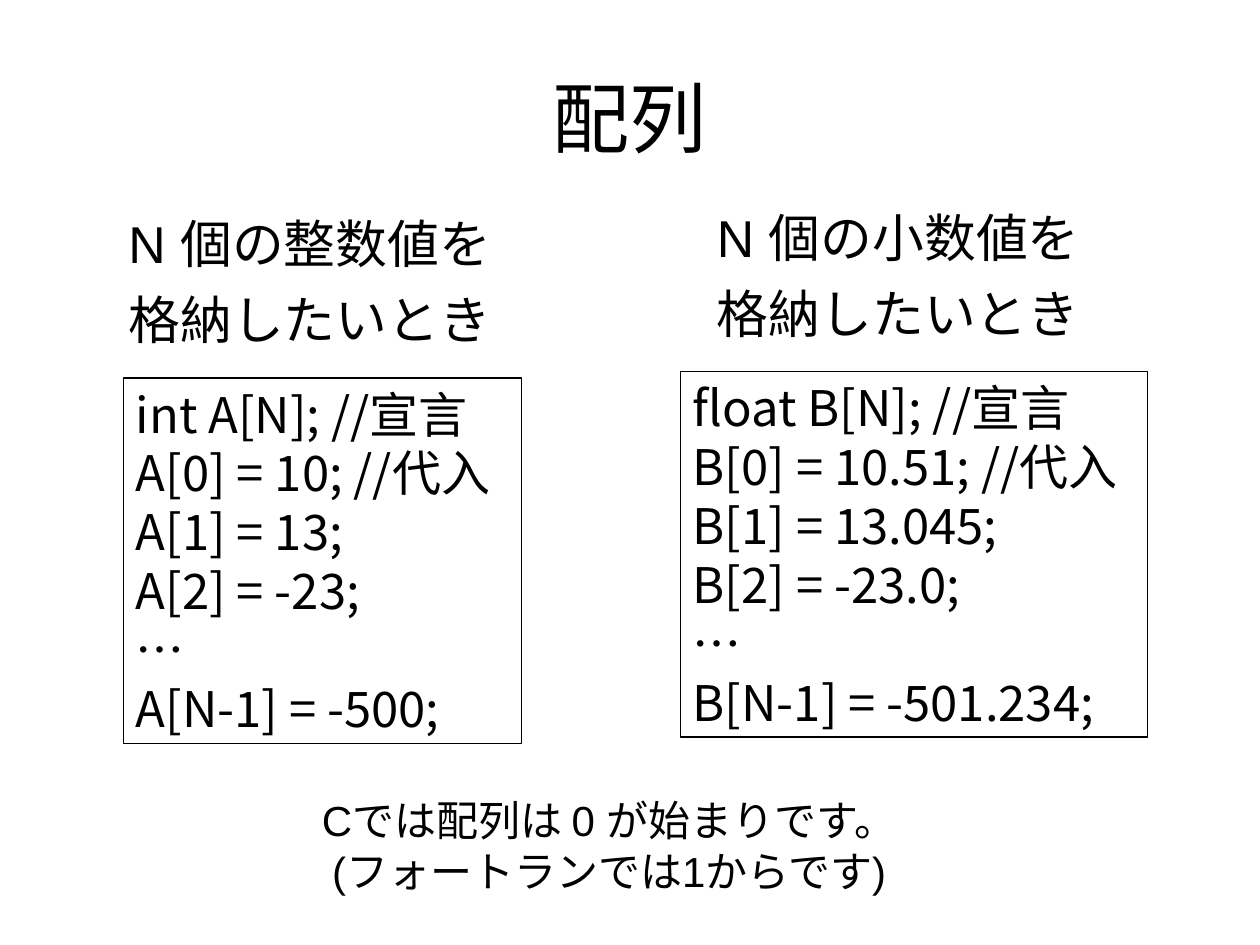
from pptx import Presentation
from pptx.dml.color import RGBColor
from pptx.enum.shapes import MSO_SHAPE
from pptx.enum.text import MSO_ANCHOR, MSO_AUTO_SIZE, PP_ALIGN
from pptx.oxml.ns import qn
from pptx.util import Inches, Pt
from lxml import etree

BLACK = RGBColor(0x00, 0x00, 0x00)
JAPANESE_FONT = "Noto Sans CJK JP"


def place(shape, left, top, width, height):
    shape.left, shape.top = Inches(left), Inches(top)
    shape.width, shape.height = Inches(width), Inches(height)


def write_lines(shape, lines, size, font="Arial", align=PP_ALIGN.CENTER, space=0,
                wrap=True, anchor=MSO_ANCHOR.TOP):
    frame = shape.text_frame
    frame.word_wrap = wrap
    frame.auto_size = MSO_AUTO_SIZE.NONE
    frame.vertical_anchor = anchor
    for index, line in enumerate(lines):
        paragraph = frame.paragraphs[0] if index == 0 else frame.add_paragraph()
        paragraph.alignment = align
        paragraph.space_before = Pt(space)
        run = paragraph.add_run()
        run.text = line
        run.font.size = Pt(size)
        run.font.name = font
        run.font.color.rgb = BLACK
        east_asian = etree.SubElement(run.font._element, qn("a:ea"))
        east_asian.set("typeface", JAPANESE_FONT)


presentation = Presentation()
presentation.slide_width = Inches(10)
presentation.slide_height = Inches(7.5)
slide = presentation.slides.add_slide(presentation.slide_layouts[5])

# Title
title = slide.shapes.title
place(title, 0.5, 0.3, 9, 1.25)
write_lines(title, ["配列"], 44, anchor=MSO_ANCHOR.MIDDLE)

# Integer and float columns: heading above a framed code example
columns = [
    ("N 個の整数値を", (0.75, 1.63, 3.42, 1.43), (0.98, 3, 3.16, 2.9),
     ["int A[N]; //宣言", "A[0] = 10; //代入", "A[1] = 13;", "A[2] = -23;",
      "…", "A[N-1] = -500;"]),
    ("N 個の小数値を", (5.42, 1.58, 3.42, 1.43), (5.4, 2.95, 3.71, 2.9),
     ["float B[N]; //宣言", "B[0] = 10.51; //代入", "B[1] = 13.045;", "B[2] = -23.0;",
      "…", "B[N-1] = -501.234;"]),
]
for first_line, heading_box, code_box, code_lines in columns:
    heading = slide.shapes.add_textbox(*map(Inches, heading_box))
    write_lines(heading, [first_line, "格納したいとき"], 29.6, space=8)

    code = slide.shapes.add_shape(MSO_SHAPE.RECTANGLE, *map(Inches, code_box))
    code.shadow.inherit = False
    code.fill.background()
    code.line.color.rgb = BLACK
    code.line.width = Pt(0.75)
    write_lines(code, code_lines, 28, JAPANESE_FONT, PP_ALIGN.LEFT, wrap=False)

# Remark on where indices start
remark = slide.shapes.add_textbox(Inches(2.32), Inches(6.26), Inches(5.03), Inches(0.9))
write_lines(remark, ["Cでは配列は 0 が始まりです。", "(フォートランでは1からです)"], 24, wrap=False)

presentation.save("out.pptx")
